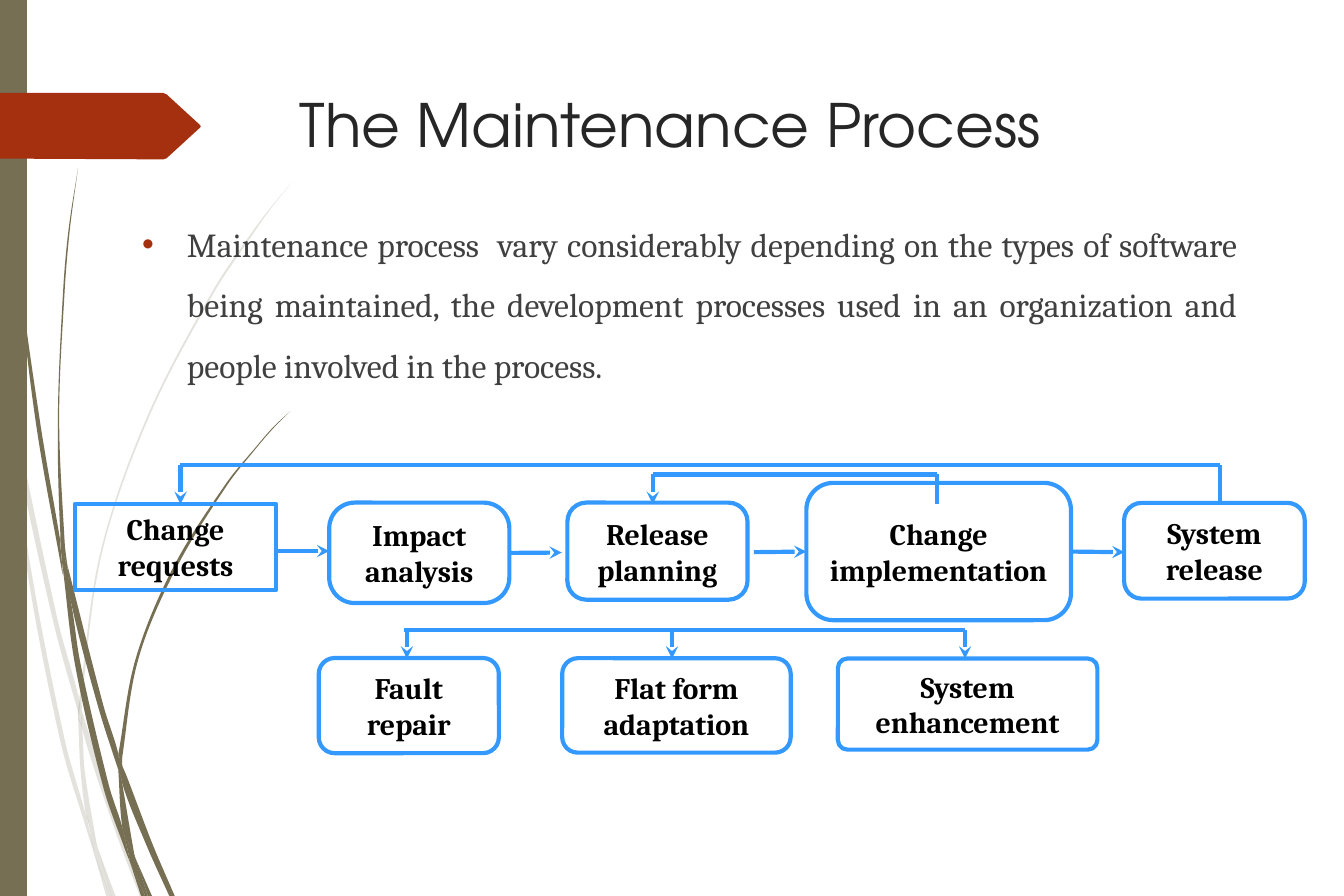
from dataclasses import dataclass
from math import hypot

from lxml import etree
from pptx import Presentation
from pptx.dml.color import RGBColor
from pptx.enum.shapes import MSO_CONNECTOR, MSO_SHAPE
from pptx.enum.text import MSO_ANCHOR, PP_ALIGN
from pptx.oxml.ns import qn
from pptx.util import Pt

STRAIGHT = MSO_CONNECTOR.STRAIGHT
RECTANGLE, ROUNDED = MSO_SHAPE.RECTANGLE, MSO_SHAPE.ROUNDED_RECTANGLE
TOP, MIDDLE = MSO_ANCHOR.TOP, MSO_ANCHOR.MIDDLE
LEFT, CENTER, JUSTIFY = PP_ALIGN.LEFT, PP_ALIGN.CENTER, PP_ALIGN.JUSTIFY
LEFT_SIDE, RIGHT_SIDE = 1, 3


@dataclass(frozen=True)
class Theme:
    olive: str = "766F54"
    rust: str = "A53010"
    blue: str = "3399FF"
    title_ink: str = "262626"
    body_ink: str = "404040"
    box_ink: str = "000000"
    title_font: str = "TeX Gyre Adventor"
    body_font: str = "Cambria"
    title_size: float = 32
    body_size: float = 18
    box_size: float = 16
    stroke: float = 2.25


def write_text(frame, text, *, font, size, color, bold=False, align=LEFT,
               anchor=TOP, spacing=None, bullet=None, indent=24):
    frame.word_wrap = True
    frame.vertical_anchor = anchor
    paragraph = frame.paragraphs[0]
    paragraph.alignment = align
    if spacing:
        paragraph.line_spacing = spacing
    if bullet:
        props = paragraph._p.get_or_add_pPr()
        props.set("marL", str(Pt(indent)))
        props.set("indent", str(-Pt(indent)))
        tint = etree.SubElement(props, qn("a:buClr"))
        etree.SubElement(tint, qn("a:srgbClr"), val=bullet)
        etree.SubElement(props, qn("a:buFont"), typeface="Arial")
        etree.SubElement(props, qn("a:buChar"), char="•")
    run = paragraph.add_run()
    run.text = text
    run.font.name = font
    run.font.size = Pt(size)
    run.font.bold = bold
    run.font.color.rgb = RGBColor.from_string(color)


def unit(a, b):
    length = hypot(b[0] - a[0], b[1] - a[1])
    return (b[0] - a[0]) / length, (b[1] - a[1]) / length


def bend(outline):
    """Turn the straight sides of a freeform into curves, keeping sharp tips."""
    sides = outline.findall(qn("a:lnTo"))
    knots = [(int(s[0].get("x")), int(s[0].get("y"))) for s in sides]
    count = len(knots)

    def heading(i, side):
        before, here, after = knots[i - 1], knots[i], knots[(i + 1) % count]
        into, out = unit(before, here), unit(here, after)
        gentle = into[0] * out[0] + into[1] * out[1] > 0.9
        return unit(before, after) if gentle else side

    for i, side in enumerate(sides):
        a, b = knots[i - 1], knots[i]
        third = hypot(b[0] - a[0], b[1] - a[1]) / 3
        leave, arrive = heading((i - 1) % count, unit(a, b)), heading(i, unit(a, b))
        curve = etree.Element(qn("a:cubicBezTo"))
        for x, y in ((a[0] + third * leave[0], a[1] + third * leave[1]),
                     (b[0] - third * arrive[0], b[1] - third * arrive[1]), b):
            etree.SubElement(curve, qn("a:pt"), x=str(round(x)), y=str(round(y)))
        outline.replace(side, curve)


class Deck:
    def __init__(self, slide, theme):
        self.slide, self.theme = slide, theme

    def paint(self, shape, color):
        shape.shadow.inherit = False
        shape.fill.solid()
        shape.fill.fore_color.rgb = RGBColor.from_string(color)
        shape.line.fill.background()

    def block(self, x, y, width, height, color):
        shape = self.slide.shapes.add_shape(RECTANGLE, Pt(x), Pt(y), Pt(width), Pt(height))
        self.paint(shape, color)

    def outline(self, points, color, alpha=None, curved=False):
        start, *rest = [(Pt(x), Pt(y)) for x, y in points]
        builder = self.slide.shapes.build_freeform(*start)
        builder.add_line_segments(rest + [start] if curved else rest, close=True)
        shape = builder.convert_to_shape()
        self.paint(shape, color)
        if curved:
            bend(next(shape._element.spPr.iter(qn("a:path"))))
        if alpha:
            tint = shape._element.spPr.find(qn("a:solidFill"))[0]
            etree.SubElement(tint, qn("a:alpha"), val=str(alpha * 1000))

    def text(self, x, y, width, height, text, **style):
        box = self.slide.shapes.add_textbox(Pt(x), Pt(y), Pt(width), Pt(height))
        write_text(box.text_frame, text, **style)

    def stage(self, text, x, y, width, height, corner):
        theme = self.theme
        shape = self.slide.shapes.add_shape(ROUNDED, Pt(x), Pt(y), Pt(width), Pt(height))
        shape.adjustments[0] = corner
        shape.shadow.inherit = False
        shape.fill.background()
        shape.line.color.rgb = RGBColor.from_string(theme.blue)
        shape.line.width = Pt(theme.stroke)
        write_text(shape.text_frame, text, font=theme.body_font, size=theme.box_size,
                   color=theme.box_ink, bold=True, align=CENTER, anchor=MIDDLE)
        return shape

    def line(self, start, end, leaves=None, enters=None, arrow=False):
        link = self.slide.shapes.add_connector(STRAIGHT, *map(Pt, start + end))
        if leaves:
            link.begin_connect(leaves, RIGHT_SIDE)
        if enters:
            link.end_connect(enters, LEFT_SIDE)
        link.line.color.rgb = RGBColor.from_string(self.theme.blue)
        link.line.width = Pt(self.theme.stroke)
        if arrow:
            etree.SubElement(link.line._get_or_add_ln(), qn("a:tailEnd"), type="stealth")
        etree.SubElement(link._element.spPr, qn("a:effectLst"))


# Corner points of the grass blades
PALE_BLADES = [
    [(5.8, 223.9), (4.3, 205.9), (0, 180), (0, 191.5), (5, 220.3)],
    [(28.8, 334.1), (42.5, 383.8), (42.5, 375.1), (31, 332.6), (7.2, 221), (8.6, 240.5)],
    [(46.1, 388.1), (43.9, 380.9), (43.9, 390.2), (61.2, 443.5), (74.9, 480), (77.8, 480), (63.4, 442.8)],
    [(59.8, 480), (61.9, 480), (52.6, 455)],
    [(46.1, 437), (34.6, 396), (15.8, 300.2), (8.6, 240.5), (5.8, 223.9), (13.7, 300.2),
     (32.4, 397.4), (46.1, 443.5), (50.4, 457.2), (49.7, 452.2)],
    [(41.8, 383.8), (43.2, 413.3), (46.1, 437), (48.2, 442.8), (52.6, 455), (51.8, 452.2),
     (45.4, 413.3), (43.9, 390.2)],
    [(43.9, 373.7), (54.7, 295.9), (79.9, 223.2), (114.5, 157), (134.6, 126.7), (144.7, 112.3),
     (156.2, 97.9), (144.7, 111.6), (133.9, 126), (113.8, 156.2), (79.2, 222.5), (54, 295.2),
     (42.5, 373.7), (42.5, 375.1), (43.9, 380.9)],
    [(50.4, 457.2), (56.9, 480), (59, 480)],
    [(43.9, 389.5), (43.9, 381.6), (42.5, 375.1), (41.8, 383.8)],
    [(48.2, 442.8), (46.8, 437), (49.7, 452.9), (50.4, 457.2), (59, 480), (59.8, 480), (52.6, 455)],
]
DARK_BLADES = [
    [(3.6, 70.6), (10.1, 149), (19.4, 227.5), (33.1, 305.3), (33.8, 308.2), (32.4, 292.3),
     (32.4, 290.2), (21.6, 226.8), (10.8, 148.3), (4.3, 69.8), (2.9, 31), (2.2, 0), (1.4, 0), (2.2, 31)],
    [(52.6, 378.7), (63.4, 412.6), (63.4, 404), (55.4, 378), (36, 302.4), (38.2, 323.3)],
    [(67.7, 415.4), (65.5, 410.4), (65.5, 419.8), (78.5, 452.9), (90.7, 480), (93.6, 480), (81.4, 451.4)],
    [(65.5, 442.8), (58.3, 420.5), (43.2, 355.7), (38.2, 323.3), (33.8, 305.3), (40.3, 356.4),
     (55.4, 421.9), (66.2, 452.9), (69.8, 462.2), (69.1, 458.6)],
    [(36, 302.4), (34.6, 290.2), (31.7, 223.2), (34.6, 156.2), (37.4, 123.1), (41.8, 90),
     (36.7, 123.1), (33.8, 156.2), (31, 223.2), (32.4, 287.3), (35.3, 301.7)],
    [(79.2, 480), (81.4, 480), (72.7, 460.1)],
    [(33.8, 305.3), (38.2, 323.3), (36, 302.4), (35.3, 301.7), (32.4, 287.3), (32.4, 290.2)],
    [(65.5, 405.4), (74.2, 352.8), (94.3, 304.6), (121.7, 259.9), (137.5, 239.8), (146.2, 229.7),
     (155.5, 220.3), (146.2, 229), (137.5, 239), (121, 259.2), (92.9, 303.8), (72.7, 352.8),
     (63.4, 403.9), (65.5, 410.4)],
    [(69.8, 462.2), (75.6, 480), (77.8, 480)],
    [(63.4, 412.6), (65.5, 442.8), (69.1, 452.2), (72.7, 460.1), (72, 457.9), (65.5, 419.8), (64.8, 416.2)],
    [(63.4, 412.6), (64.8, 416.2), (65.5, 419.8), (65.5, 410.4), (63.4, 403.9)],
    [(69.1, 452.2), (65.5, 442.8), (69.1, 458.6), (69.8, 462.2), (77.8, 480), (79.2, 480), (72.7, 460.1)],
]


def main():
    theme = Theme()
    prs = Presentation()
    prs.slide_width, prs.slide_height = Pt(720), Pt(480)
    deck = Deck(prs.slides.add_slide(prs.slide_layouts[6]), theme)

    # Side decoration
    for blades, alpha in ((PALE_BLADES, 20), (DARK_BLADES, None)):
        for blade in blades:
            deck.outline(blade, theme.olive, alpha, curved=True)
    deck.block(0, 0, 14.4, 480, theme.olive)
    deck.outline([(0, 49.8), (87.5, 49.8), (89.3, 50.6), (107.2, 67), (107.6, 67.7),
                  (107.2, 68.4), (89.3, 84.8), (87.5, 85.4), (0, 85)], theme.rust)

    # Title and statement
    deck.text(153.4, 43.6, 519, 90, "The Maintenance Process", font=theme.title_font,
              size=theme.title_size, color=theme.title_ink)
    deck.text(69.1, 105.5, 601, 91.4,
              "Maintenance process  vary considerably depending on the types of software "
              "being maintained, the development processes used in an organization and "
              "people involved in the process.",
              font=theme.body_font, size=theme.body_size, color=theme.body_ink,
              align=JUSTIFY, spacing=1.5, bullet=theme.rust)

    # Process stages and kinds of change
    deck.stage("Change requests", 40.2, 270, 107.7, 46.1, 0)
    impact = deck.stage("Impact analysis", 176.4, 269.3, 96.5, 53.8, 0.255)
    deck.stage("Release planning", 304, 269.3, 96.5, 52, 0.195)
    implementation = deck.stage("Change implementation", 432, 258.7, 141.8, 73.6, 0.197)
    deck.stage("System release", 602.2, 269.4, 96.8, 51.3, 0.182)
    deck.stage("Fault repair", 170.8, 352.5, 96.5, 51, 0.167)
    deck.stage("Flat form adaptation", 301.2, 352.6, 122.4, 50.6, 0.165)
    deck.stage("System enhancement", 448.9, 352.8, 139, 48.8, 0.105)

    # Forward flow
    deck.line((147.8, 295.2), (176.4, 295.2), arrow=True)
    deck.line((272.9, 296), (301, 296), leaves=impact, arrow=True)
    deck.line((403.9, 295.8), (432, 295.8), enters=implementation, arrow=True)
    deck.line((573.8, 295.8), (602.4, 295.8), leaves=implementation, arrow=True)

    # Feedback loops: level, foot, start x, target x
    for level, foot, source, target in ((249, 270, 653.8, 96.7), (254.2, 270, 501.8, 349.7)):
        deck.line((source, foot), (source, level))
        deck.line((source, level), (target, level))
        deck.line((target, level), (target, foot), arrow=True)

    # Branches to the kinds of change
    branch = 337.7
    deck.line((216.2, branch), (517, branch))
    for x in (218, 360, 517):
        deck.line((x, branch), (x, 352.8), arrow=True)

    prs.save("out.pptx")


if __name__ == "__main__":
    main()
